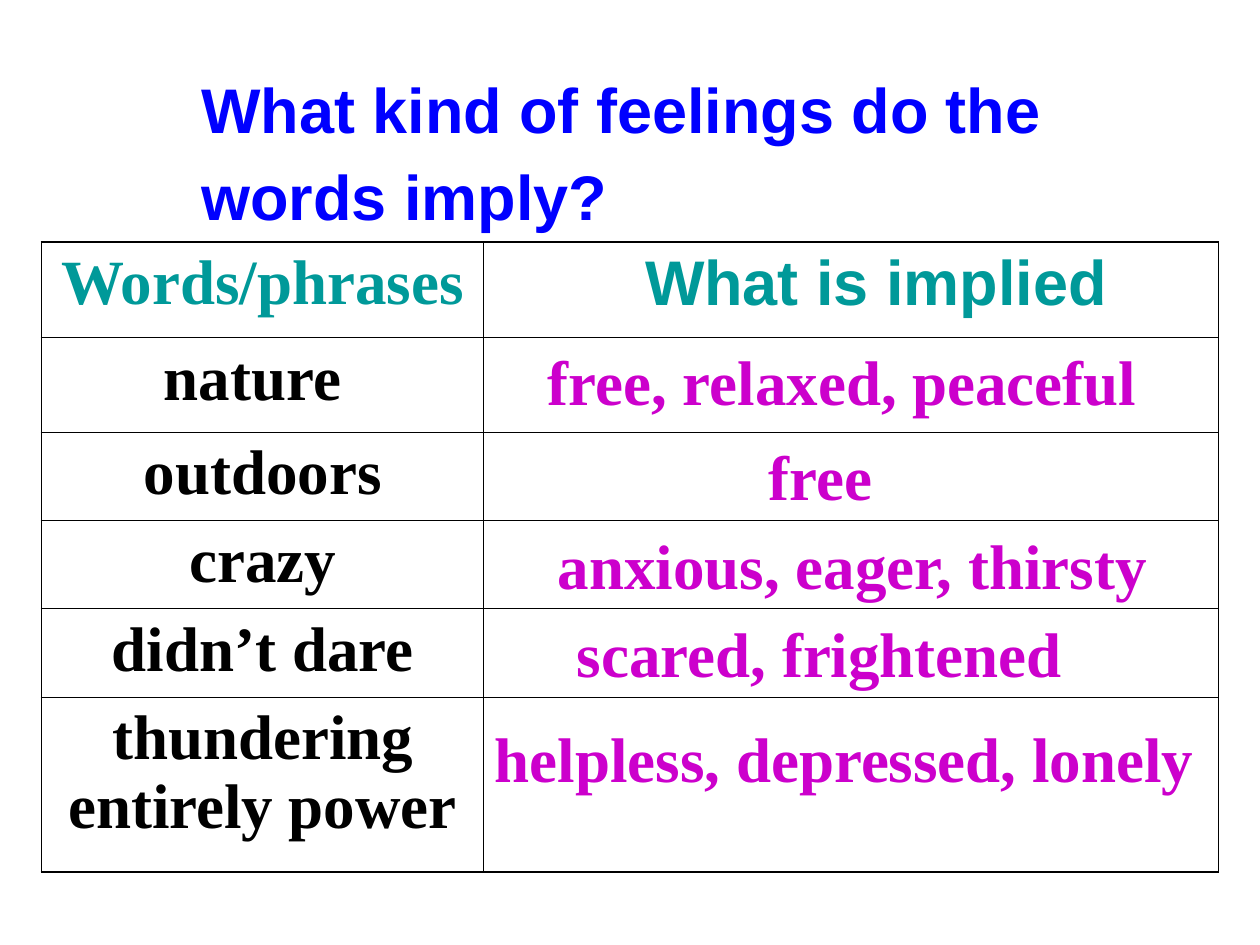
"""Build a vocabulary slide that matches words with the feelings they imply."""
import pptx
import pptx.dml.color
import pptx.enum.text
import pptx.oxml
import pptx.oxml.ns
import pptx.util
from pptx.util import Inches

SERIF = "Times New Roman"
SANS = "Arial"
BLUE, TEAL, PURPLE, BLACK = "0000FF", "009999", "CC00CC", "000000"
CENTER = pptx.enum.text.PP_ALIGN.CENTER
LEFT = pptx.enum.text.PP_ALIGN.LEFT
OUTER_LINE, INNER_LINE = 1.08, 0.45

COLUMN_WIDTHS = [3.51, 5.83]
ROW_HEIGHTS = [0.76, 0.75, 0.7, 0.7, 0.7, 1.39]
WORDS = ["nature", "outdoors", "crazy", "didn’t dare", "thundering\nentirely power"]
FEELINGS = [
    ("free, relaxed, peaceful", 4.25, 2.67, 5.42, True),
    ("free", 6, 3.42, 1.03, False),
    ("anxious, eager, thirsty", 4.33, 4.13, 4.92, False),
    ("scared, frightened", 4.48, 4.83, 4.18, False),
    ("helpless, depressed, lonely", 3.83, 5.66, 5.83, True),
]


def color(hex_value):
    """Return the colour for a hex string."""
    return pptx.dml.color.RGBColor.from_string(hex_value)


def write_text(text_frame, text, font_name, hex_value, alignment=LEFT):
    """Fill a text frame with bold 36 point text."""
    text_frame.text = text
    for paragraph in text_frame.paragraphs:
        paragraph.alignment = alignment
        for run in paragraph.runs:
            run.font.name = font_name
            run.font.size = pptx.util.Pt(36)
            run.font.bold = True
            run.font.color.rgb = color(hex_value)


def add_text(slide, text, left, top, width, height, font_name, hex_value, wrap=True):
    """Add a text box and return its text frame."""
    box = slide.shapes.add_textbox(Inches(left), Inches(top), Inches(width), Inches(height))
    box.text_frame.word_wrap = wrap
    write_text(box.text_frame, text, font_name, hex_value)
    return box.text_frame


def set_border(cell, side, points):
    """Draw one black border of a table cell."""
    line = pptx.oxml.parse_xml(
        f'<a:ln{side} {pptx.oxml.ns.nsdecls("a")} w="{pptx.util.Pt(points)}">'
        f'<a:solidFill><a:srgbClr val="{BLACK}"/></a:solidFill></a:ln{side}>'
    )
    cell._tc.get_or_add_tcPr().append(line)


def add_word_table(slide):
    """Add the ruled table of words with an empty column for the answers."""
    row_count, column_count = len(ROW_HEIGHTS), len(COLUMN_WIDTHS)
    table = slide.shapes.add_table(
        row_count, column_count, Inches(0.33), Inches(1.92),
        Inches(sum(COLUMN_WIDTHS)), Inches(sum(ROW_HEIGHTS)),
    ).table
    table.first_row = False
    table.horz_banding = False
    for column, width in zip(table.columns, COLUMN_WIDTHS):
        column.width = Inches(width)
    for row, height in zip(table.rows, ROW_HEIGHTS):
        row.height = Inches(height)
    for row_index in range(row_count):
        for column_index in range(column_count):
            cell = table.cell(row_index, column_index)
            outer_sides = {
                "L": column_index == 0,
                "R": column_index == column_count - 1,
                "T": row_index == 0,
                "B": row_index == row_count - 1,
            }
            for side, is_outer in outer_sides.items():
                set_border(cell, side, OUTER_LINE if is_outer else INNER_LINE)
            cell.fill.background()

    write_text(table.cell(0, 0).text_frame, "Words/phrases", SERIF, TEAL, CENTER)
    implied_header = table.cell(0, 1)
    implied_header.margin_left = Inches(1.28)
    write_text(implied_header.text_frame, "What is implied", SANS, TEAL)
    for row_index, word in enumerate(WORDS, start=1):
        write_text(table.cell(row_index, 0).text_frame, word, SERIF, BLACK, CENTER)
    nature = table.cell(1, 0)
    nature.margin_left = Inches(0.97)
    nature.text_frame.paragraphs[0].alignment = LEFT


def main():
    """Build and save the slide."""
    presentation = pptx.Presentation()
    presentation.slide_width = Inches(10)
    presentation.slide_height = Inches(7.5)
    slide = presentation.slides.add_slide(presentation.slide_layouts[6])
    title = add_text(
        slide, "What kind of feelings do the words imply?", 1.5, 0.42, 7, 1.48, SANS, BLUE
    )
    title.paragraphs[0].line_spacing = 1.15
    add_word_table(slide)
    for text, left, top, width, wrap in FEELINGS:
        add_text(slide, text, left, top, width, 0.7, SERIF, PURPLE, wrap)
    presentation.save("out.pptx")


if __name__ == "__main__":
    main()
